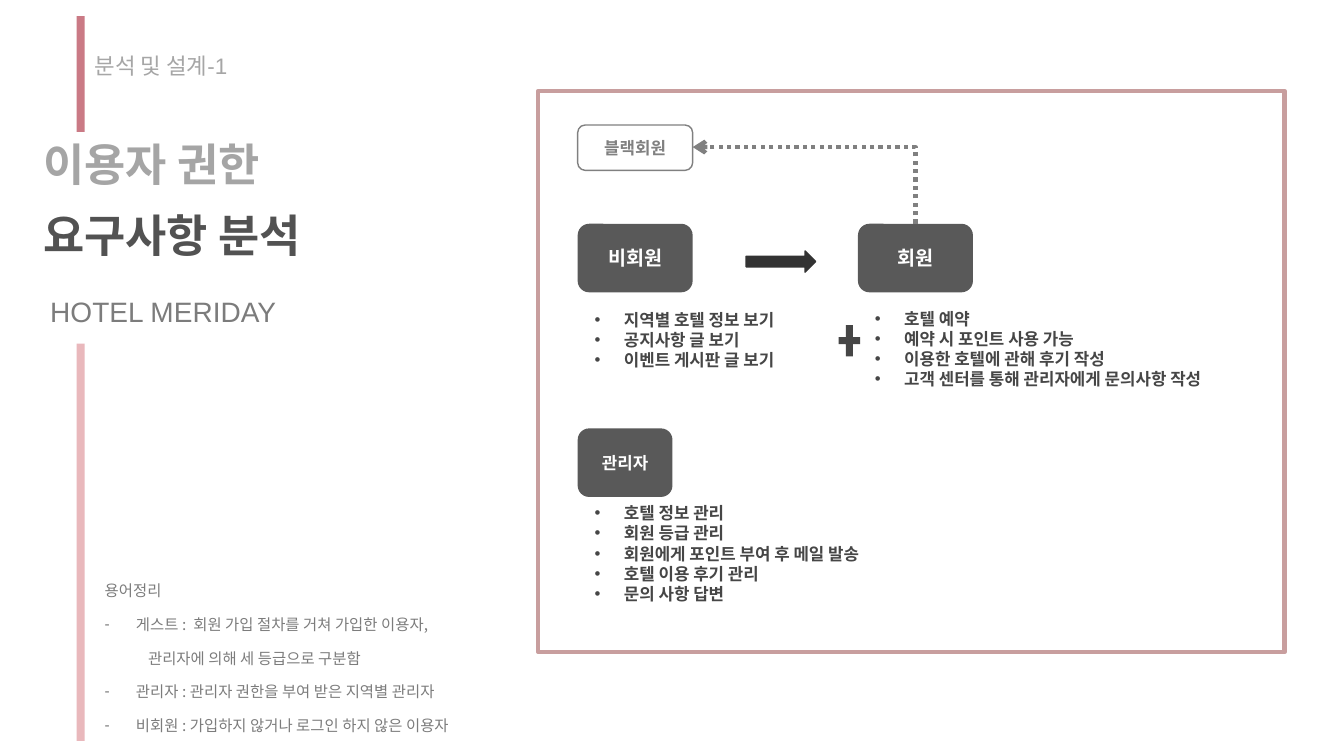
from dataclasses import dataclass

from lxml.etree import SubElement
from pptx import Presentation
from pptx.dml.color import RGBColor
from pptx.enum.dml import MSO_LINE
from pptx.enum.shapes import MSO_CONNECTOR, MSO_SHAPE
from pptx.enum.text import MSO_ANCHOR, MSO_AUTO_SIZE, PP_ALIGN
from pptx.oxml.ns import qn
from pptx.util import Emu, Pt


@dataclass(frozen=True)
class Theme:
    latin: str = "Arial"
    korean: str = "Noto Sans CJK KR"
    white: str = "FFFFFF"
    frame: str = "C89E9E"
    rose: str = "CA7A85"
    blush: str = "E9B8BC"
    role: str = "595959"
    arrow: str = "333333"
    body: str = "464646"
    title: str = "525252"
    faded_title: str = "A5A5A5"
    section: str = "A6A6A6"
    note: str = "7C7C7C"
    blocked: str = "808080"
    title_size: int = 32
    subtitle_size: int = 20
    section_size: int = 16
    role_size: int = 14
    body_size: int = 12
    note_size: int = 11


THEME = Theme()
EMU_PER_PX = 9144
BULLET_INDENT = 36
BULLET_HANG = 29
DASH_INDENT = 31
CONTINUATION_INDENT = 43


def px(length):
    return Emu(int(length * EMU_PER_PX))


def rgb(color):
    return RGBColor.from_string(color)


def add_run(paragraph, text, size, color, bold=False, font=THEME.latin):
    run = paragraph.add_run()
    run.text = text
    run.font.size = Pt(size)
    run.font.bold = bold
    run.font.name = font
    run.font.color.rgb = rgb(color)
    run.font._element.set("kern", "0")
    SubElement(run.font._element, qn("a:ea")).set("typeface", THEME.korean)


def indent(paragraph, margin, hang=0, marker=None):
    properties = paragraph._p.get_or_add_pPr()
    properties.set("marL", str(px(margin)))
    properties.set("indent", str(px(-hang)))
    if marker:
        SubElement(properties, qn("a:buFont")).set("typeface", THEME.latin)
        SubElement(properties, qn("a:buChar")).set("char", marker)


def add_block(slide, kind, box, fill=None, line=None, weight=1):
    block = slide.shapes.add_shape(kind, *map(px, box))
    block.shadow.inherit = False
    if fill:
        block.fill.solid()
        block.fill.fore_color.rgb = rgb(fill)
    else:
        block.fill.background()
    if line:
        block.line.color.rgb = rgb(line)
        block.line.width = Pt(weight)
    else:
        block.line.fill.background()
    return block


def add_role(slide, name, box, size, fill=THEME.role, line=None, color=THEME.white):
    role = add_block(slide, MSO_SHAPE.ROUNDED_RECTANGLE, box, fill, line)
    role.text_frame.vertical_anchor = MSO_ANCHOR.MIDDLE
    label = role.text_frame.paragraphs[0]
    label.alignment = PP_ALIGN.CENTER
    add_run(label, name, size, color, True, THEME.korean)


def add_text_frame(slide, box):
    frame = slide.shapes.add_textbox(*map(px, box)).text_frame
    frame.word_wrap = True
    frame.auto_size = MSO_AUTO_SIZE.SHAPE_TO_FIT_TEXT
    return frame


def add_heading(slide, text, box, size, color, bold=False):
    frame = add_text_frame(slide, box)
    add_run(frame.paragraphs[0], text, size, color, bold)


def add_paragraphs(frame, count):
    return [frame.paragraphs[0]] + [frame.add_paragraph() for _ in range(count - 1)]


def add_permissions(slide, permissions, box):
    frame = add_text_frame(slide, box)
    for paragraph, permission in zip(add_paragraphs(frame, len(permissions)), permissions):
        indent(paragraph, BULLET_INDENT, BULLET_HANG, "•")
        add_run(paragraph, permission, THEME.body_size, THEME.body, True)


def add_glossary(slide, entries, box):
    frame = add_text_frame(slide, box)
    for paragraph, (text, margin, marker) in zip(add_paragraphs(frame, len(entries)), entries):
        paragraph.line_spacing = Pt(24)
        indent(paragraph, margin, margin if marker else 0, marker)
        add_run(paragraph, text, THEME.note_size, THEME.note, font=THEME.korean)


def add_up_then_left_arrow(slide, start, end):
    center_x, center_y = (start[0] + end[0]) / 2, (start[1] + end[1]) / 2
    half_run, half_rise = (start[0] - end[0]) / 2, (start[1] - end[1]) / 2
    corners = (center_x - half_rise, center_y + half_run,
               center_x + half_rise, center_y - half_run)
    arrow = slide.shapes.add_connector(MSO_CONNECTOR.ELBOW, *map(px, corners))
    properties = arrow._element.spPr
    properties.find(qn("a:xfrm")).set("rot", str(270 * 60000))
    properties.find(qn("a:prstGeom")).set("prst", "bentConnector2")
    arrow.line.color.rgb = rgb(THEME.blocked)
    arrow.line.width = Pt(3)
    arrow.line.dash_style = MSO_LINE.ROUND_DOT
    SubElement(properties.find(qn("a:ln")), qn("a:tailEnd")).set("type", "arrow")
    SubElement(properties, qn("a:effectLst"))


def add_headings(slide):
    add_block(slide, MSO_SHAPE.RECTANGLE, (76, 16, 8, 115), THEME.rose)
    add_block(slide, MSO_SHAPE.RECTANGLE, (76, 341, 8, 394), THEME.blush)
    add_heading(slide, "분석 및 설계-1", (84, 47, 177, 37), THEME.section_size, THEME.section)
    add_heading(slide, "이용자 권한", (33, 131, 432, 64), THEME.title_size,
                THEME.faded_title, bold=True)
    add_heading(slide, "요구사항 분석", (33, 201, 305, 64), THEME.title_size,
                THEME.title, bold=True)
    add_heading(slide, "HOTEL MERIDAY", (40, 287, 300, 44), THEME.subtitle_size, THEME.note)


def add_role_diagram(slide):
    add_block(slide, MSO_SHAPE.RECTANGLE, (534, 90, 740, 557), THEME.white, THEME.frame, 3)
    add_role(slide, "비회원", (573, 222, 114, 68), THEME.role_size)
    add_role(slide, "회원", (851, 222, 114, 68), THEME.role_size)
    add_role(slide, "관리자", (573, 425, 94, 68), THEME.body_size)
    add_role(slide, "블랙회원", (573, 124, 114, 45), THEME.body_size,
             fill=None, line=THEME.blocked, color=THEME.blocked)
    add_block(slide, MSO_SHAPE.RIGHT_ARROW, (740, 249, 69, 21), THEME.arrow, THEME.arrow)
    add_block(slide, MSO_SHAPE.MATH_PLUS, (828, 317, 29, 42), THEME.body)
    add_up_then_left_arrow(slide, (908, 222), (687, 146))
    add_permissions(slide, ["지역별 호텔 정보 보기", "공지사항 글 보기", "이벤트 게시판 글 보기"],
                    (573, 302, 233, 71))
    add_permissions(slide, ["호텔 예약", "예약 시 포인트 사용 가능", "이용한 호텔에 관해 후기 작성",
                            "고객 센터를 통해 관리자에게 문의사항 작성"], (851, 301, 397, 91))
    add_permissions(slide, ["호텔 정보 관리", "회원 등급 관리", "회원에게 포인트 부여 후 메일 발송",
                            "호텔 이용 후기 관리", "문의 사항 답변"], (573, 494, 350, 111))


def main():
    deck = Presentation()
    deck.slide_width, deck.slide_height = px(1333), px(750)
    slide = deck.slides.add_slide(deck.slide_layouts[6])
    add_headings(slide)
    add_role_diagram(slide)
    add_glossary(slide, [
        ("용어정리", 0, None),
        ("게스트 :  회원 가입 절차를 거쳐 가입한 이용자,", DASH_INDENT, "-"),
        ("관리자에 의해 세 등급으로 구분함", CONTINUATION_INDENT, None),
        ("관리자 : 관리자 권한을 부여 받은 지역별 관리자", DASH_INDENT, "-"),
        ("비회원 : 가입하지 않거나 로그인 하지 않은 이용자", DASH_INDENT, "-"),
    ], (94, 557, 528, 178))
    deck.save("out.pptx")


if __name__ == "__main__":
    main()
